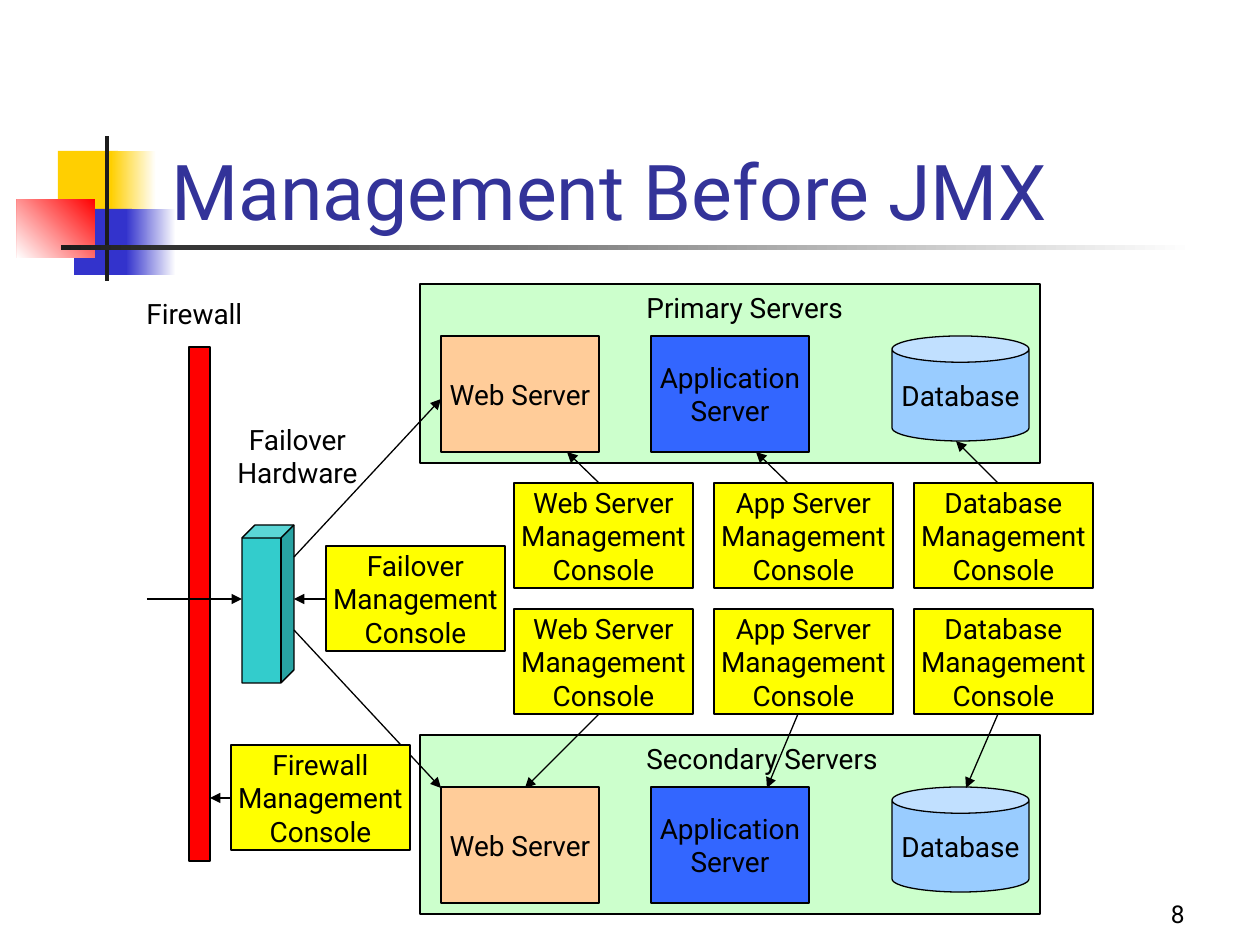
from lxml.etree import SubElement
from pptx import Presentation
from pptx.dml.color import RGBColor
from pptx.enum.shapes import MSO_CONNECTOR, MSO_SHAPE
from pptx.enum.text import MSO_ANCHOR, MSO_AUTO_SIZE, PP_ALIGN
from pptx.oxml.ns import qn
from pptx.util import Pt

SCALE = 914400 / 126
FONT = "Roboto"
BLACK, DARK, WHITE = "000000", "1C1C1C", "FFFFFF"
RECT, CAN, CUBE = MSO_SHAPE.RECTANGLE, MSO_SHAPE.CAN, MSO_SHAPE.CUBE
LEFT, MID, RIGHT = PP_ALIGN.LEFT, PP_ALIGN.CENTER, PP_ALIGN.RIGHT

DECOR = [
    ((58, 151, 60, 66), ("FFCF01",), 0),
    ((111, 151, 45, 66), (WHITE, "FFCF01"), 180),
    ((74, 209, 58, 66), ("3333CC",), 0),
    ((126, 209, 50, 66), (WHITE, "3333CC"), 180),
    ((17, 199, 78, 59), ("FF0000", WHITE), 225),
    ((105, 136, 4, 145), (DARK,), 0),
    ((61, 245, 1134, 5), (WHITE, DARK), 180),
]
TITLE = ("Management Before JMX", (159, 84, 1074, 158))
LABELS = [
    ("Firewall", (134, 290, 126, 46), LEFT),
    ("Failover\nHardware", (220, 416, 155, 80), MID),
]
ZONES = [("Primary Servers", 284, 233), ("Secondary Servers", 735, 267)]
SERVERS = [
    ("Web Server", RECT, 441, 158, 116, "FFCC99"),
    ("Application\nServer", RECT, 651, 158, 116, "3366FF"),
    ("Database", CAN, 892, 137, 105, "99CCFF"),
]
TOOLS = ["Web Server", "App Server", "Database"]
ROWS = [483, 609]
SINGLES = [("Failover", 326, 546), ("Firewall", 231, 745)]
FLOWS = [
    (147, 599, 242, 599),
    (294, 557, 441, 399),
    (294, 630, 441, 788),
]
LINKS = [
    (326, 599, 294, 599),
    (599, 483, 567, 452),
    (788, 483, 756, 452),
    (998, 483, 956, 441),
    (599, 714, 525, 788),
    (798, 714, 767, 788),
    (998, 714, 966, 788),
    (231, 798, 210, 798),
]

deck = Presentation()
deck.slide_width, deck.slide_height = round(1260 * SCALE), round(945 * SCALE)
slide = deck.slides.add_slide(deck.slide_layouts[6])


def emu(box):
    return [round(n * SCALE) for n in box]


def rgb(code):
    return RGBColor.from_string(code)


def write(shape, text, size=16, color=BLACK, align=MID, **extra):
    frame = shape.text_frame
    look = {"word_wrap": False, "vertical_anchor": MSO_ANCHOR.MIDDLE, **extra}
    for key, value in look.items():
        setattr(frame, key, value)
    frame.text = text
    for para in frame.paragraphs:
        para.alignment = align
        for key, value in {"name": FONT, "size": Pt(size)}.items():
            setattr(para.font, key, value)
        para.font.color.rgb = rgb(color)


def block(box, colors, angle=0, kind=RECT, text="", line=True):
    shape = slide.shapes.add_shape(kind, *emu(box))
    shape.shadow.inherit = False
    if len(colors) == 1:
        shape.fill.solid()
        shape.fill.fore_color.rgb = rgb(colors[0])
    else:
        shape.fill.gradient()
        shape.fill.gradient_angle = angle
        for stop, color in zip(shape.fill.gradient_stops, colors):
            stop.color.rgb = rgb(color)
    if line:
        shape.line.color.rgb = rgb(BLACK)
        shape.line.width = Pt(0.74)
    else:
        shape.line.fill.background()
    if text:
        write(shape, text)
    return shape


def label(text, box, **look):
    write(slide.shapes.add_textbox(*emu(box)), text, **look)


def note(text, box, align):
    label(text, box, align=align, vertical_anchor=MSO_ANCHOR.TOP,
          auto_size=MSO_AUTO_SIZE.SHAPE_TO_FIT_TEXT)


def arrow(ends):
    line = slide.shapes.add_connector(MSO_CONNECTOR.STRAIGHT, *emu(ends))
    line.line.color.rgb = rgb(BLACK)
    line.line.width = Pt(0.74)
    SubElement(line.line._get_or_add_ln(), qn("a:tailEnd"), type="triangle")
    SubElement(line._element.spPr, qn("a:effectLst"))


def console(name, x, y):
    block((x, y, 179, 105), ("FFFF00",), text=name + "\nManagement\nConsole")


for box, colors, angle in DECOR:
    block(box, colors, angle, line=False)
label(*TITLE, size=44, color="333399", align=LEFT, word_wrap=True,
      vertical_anchor=MSO_ANCHOR.BOTTOM)

block((189, 347, 21, 514), ("FF0000",))
block((242, 525, 52, 158), ("33CCCC",), kind=CUBE).adjustments[0] = 0.25
for text, box, align in LABELS:
    note(text, box, align)

for name, top, wide in ZONES:
    block((420, top, 620, 179), ("CCFFCC",))
    for text, kind, x, w, h, color in SERVERS:
        block((x, top + 52, w, h), (color,), kind=kind, text=text)
    note(name, (634, top, wide, 46), LEFT)

for ends in FLOWS:
    arrow(ends)
for y in ROWS:
    for col, name in enumerate(TOOLS):
        console(name, 514 + 200 * col, y)
for single in SINGLES:
    console(*single)
for ends in LINKS:
    arrow(ends)

label("8", (935, 872, 262, 63), size=14, align=RIGHT, word_wrap=True,
      vertical_anchor=MSO_ANCHOR.BOTTOM)
deck.save("out.pptx")
